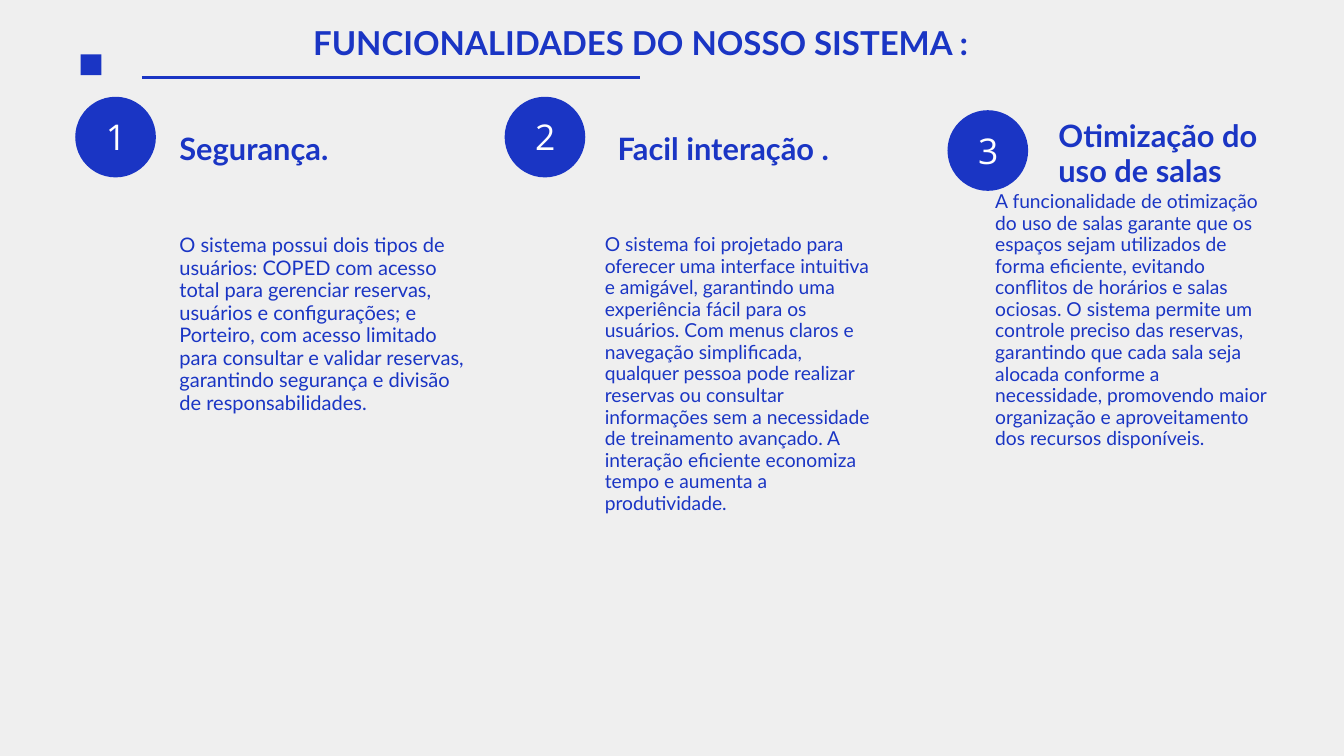
from pptx import Presentation, util as u
from pptx.dml.color import RGBColor
from pptx.enum import shapes, text
from pptx.oxml.ns import qn
from lxml import etree

COLORS = {"blue": "1A35C4", "white": "FFFFFF", "paper": "EFEFEF"}
WIDTH, HEIGHT = 20, 11.25
BADGE = 1.2  # diameter of a number badge

# Number, column origin, then heading and body boxes relative to that origin
COLUMNS = [
    dict(number="1", origin=(1.12, 1.44), heading="Segurança.",
         heading_box=(1.55, 0.52, 2.99, 0.55), body_box=(1.55, 2.05, 4.24, 3.36),
         size=21.5, leading=24.1,
         body="O sistema possui dois tipos de usuários: COPED com acesso total para "
              "gerenciar reservas, usuários e configurações; e Porteiro, com acesso "
              "limitado para consultar e validar reservas, garantindo segurança e "
              "divisão de responsabilidades."),
    dict(number="2", origin=(7.51, 1.44), heading="Facil interação .",
         heading_box=(1.68, 0.52, 3.68, 0.55), body_box=(1.49, 2.04, 4.07, 4.2),
         size=20.6, leading=23.1,
         body="O sistema foi projetado para oferecer uma interface intuitiva e "
              "amigável, garantindo uma experiência fácil para os usuários. Com menus "
              "claros e navegação simplificada, qualquer pessoa pode realizar reservas "
              "ou consultar informações sem a necessidade de treinamento avançado. A "
              "interação eficiente economiza tempo e aumenta a produtividade."),
    dict(number="3", origin=(14.1, 1.64), heading="Otimização do uso de salas",
         heading_box=(1.65, 0.14, 3.68, 1.06), body_box=(0.71, 1.2, 4.07, 4.83),
         size=20.6, leading=23.1,
         body="A funcionalidade de otimização do uso de salas garante que os espaços "
              "sejam utilizados de forma eficiente, evitando conflitos de horários e "
              "salas ociosas. O sistema permite um controle preciso das reservas, "
              "garantindo que cada sala seja alocada conforme a necessidade, promovendo "
              "maior organização e aproveitamento dos recursos disponíveis."),
]


def color(name):
    return RGBColor.from_string(COLORS[name])


def inches(box):
    return [u.Inches(length) for length in box]


def write(shape, words, size, leading, font="Lato", ink="blue", bold=False,
          align=text.PP_ALIGN.LEFT, anchor=text.MSO_ANCHOR.TOP, inset=0):
    frame = shape.text_frame
    frame.word_wrap = True
    frame.auto_size = text.MSO_AUTO_SIZE.NONE
    frame.vertical_anchor = anchor
    frame.margin_left = frame.margin_right = u.Inches(inset)
    frame.margin_top = frame.margin_bottom = u.Inches(inset)
    para = frame.paragraphs[0]
    para.alignment = align
    para.line_spacing = u.Pt(leading)
    para.space_before = u.Pt(0)
    span = para.add_run()
    span.text = words
    span.font.name, span.font.size, span.font.bold = font, u.Pt(size), bold
    span.font.color.rgb = color(ink)


def add_text(page, box, words, **style):
    write(page.shapes.add_textbox(*inches(box)), words, **style)


def add_solid(page, kind, box):
    shape = page.shapes.add_shape(kind, *inches(box))
    shape.shadow.inherit = False
    shape.fill.solid()
    shape.fill.fore_color.rgb = color("blue")
    shape.line.fill.background()


def add_header(page, left, top):
    # Square marker and rule
    add_solid(page, shapes.MSO_SHAPE.RECTANGLE, (left, top + 0.44, 0.31, 0.31))
    rule = page.shapes.add_connector(
        shapes.MSO_CONNECTOR.STRAIGHT,
        *inches((left + 0.91, top + 0.78, left + 8.33, top + 0.78)))
    rule.line.color.rgb = color("blue")
    rule.line.width = u.Pt(3)
    etree.SubElement(rule._element.spPr, qn("a:effectLst"))
    # Title
    title = page.shapes.title
    title.left, title.top, title.width, title.height = inches(
        (left + 3.46, top, 10.64, 0.6))
    write(title, "FUNCIONALIDADES DO NOSSO SISTEMA :", size=35.3, leading=39.5, bold=True)


def add_column(page, column):
    left, top = column["origin"]

    def place(box):
        return (left + box[0], top + box[1], box[2], box[3])

    # Number badge
    add_solid(page, shapes.MSO_SHAPE.OVAL, (left, top, BADGE, BADGE))
    add_text(page, place((0.12, 0, 0.97, 1.08)), column["number"], size=38,
             leading=53.2, font="Open Sans", ink="white", inset=0.06,
             align=text.PP_ALIGN.CENTER, anchor=text.MSO_ANCHOR.MIDDLE)
    # Heading and description
    add_text(page, place(column["heading_box"]), column["heading"],
             size=33, leading=37, bold=True)
    add_text(page, place(column["body_box"]), column["body"],
             size=column["size"], leading=column["leading"])


def main():
    deck = Presentation()
    deck.slide_width, deck.slide_height = inches((WIDTH, HEIGHT))
    page = deck.slides.add_slide(deck.slide_layouts.get_by_name("Title Only"))
    page.background.fill.solid()
    page.background.fill.fore_color.rgb = color("paper")
    add_header(page, 1.2, 0.37)
    for column in COLUMNS:
        add_column(page, column)
    deck.save("out.pptx")


if __name__ == "__main__":
    main()
